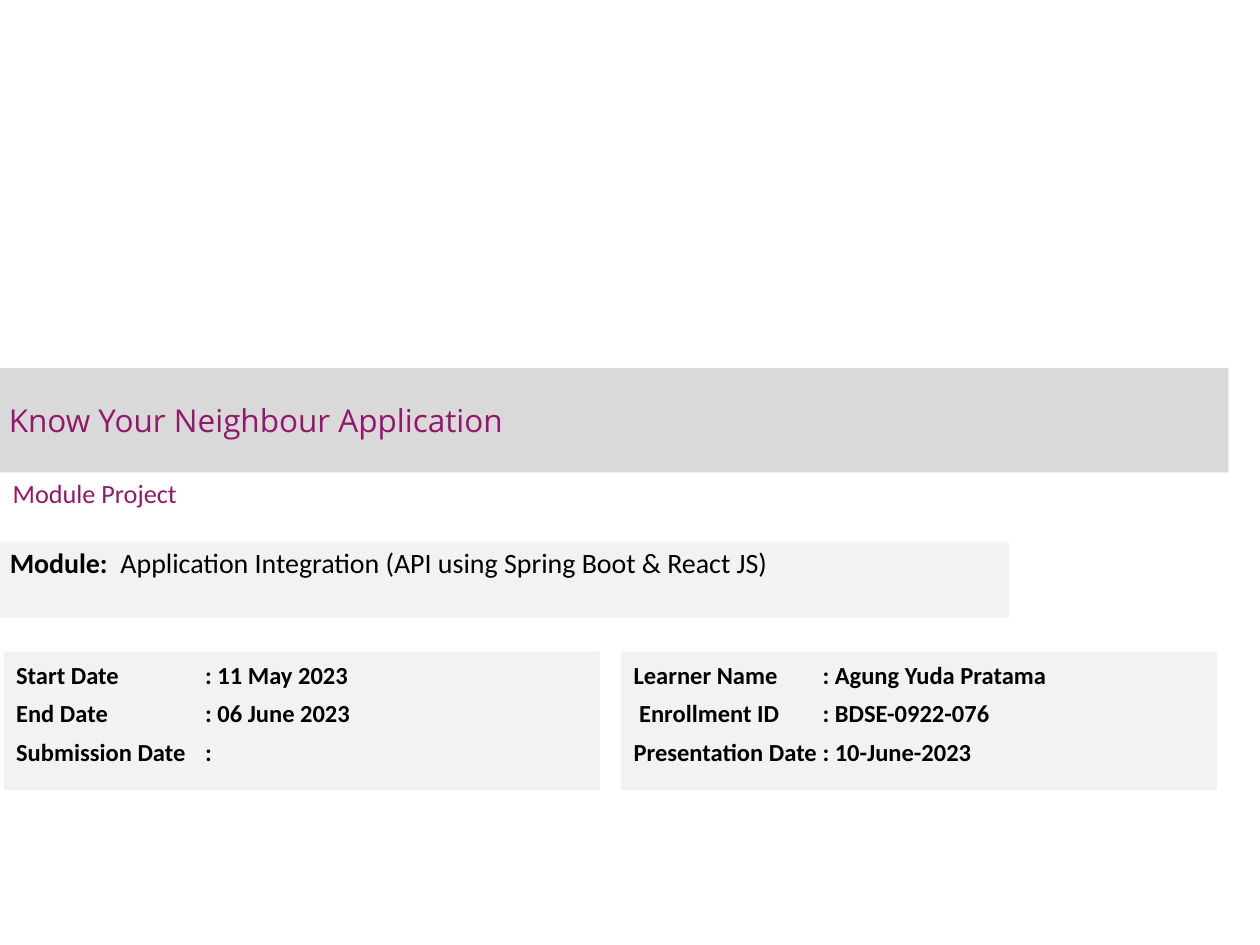
import pptx
import pptx.dml.color
import pptx.enum.shapes
import pptx.enum.text
import pptx.oxml
import pptx.oxml.ns
import pptx.util
from pptx.util import Inches

PLUM = pptx.dml.color.RGBColor(0x93, 0x17, 0x6C)
BLACK = pptx.dml.color.RGBColor(0, 0, 0)
BAND_GREY = pptx.dml.color.RGBColor(0xD9, 0xD9, 0xD9)
PANEL_GREY = pptx.dml.color.RGBColor(0xF2, 0xF2, 0xF2)
VALUE_TAB = Inches(1.5)


def add_span(para, text, size, color, font="Calibri", bold=False):
    span = para.add_run()
    span.text = text
    span.font.name = font
    span.font.size = pptx.util.Pt(size)
    span.font.bold = bold
    span.font.color.rgb = color


def fill_heading(holder, box, text, size, font):
    """Place a title or subtitle placeholder and write its one line."""
    holder.left, holder.top, holder.width, holder.height = box
    frame = holder.text_frame
    frame.word_wrap = True
    frame.auto_size = pptx.enum.text.MSO_AUTO_SIZE.NONE
    frame.vertical_anchor = pptx.enum.text.MSO_ANCHOR.MIDDLE
    para = frame.paragraphs[0]
    para.alignment = pptx.enum.text.PP_ALIGN.LEFT
    para.space_before = pptx.util.Pt(0)
    add_span(para, text, size, PLUM, font)


def add_title_band(page, box):
    title = page.shapes.title
    fill_heading(title, box, "Know Your Neighbour Application", 18, "Open Sans")
    title.fill.solid()
    title.fill.fore_color.rgb = BAND_GREY
    frame = title.text_frame
    frame.margin_left = frame.margin_right = Inches(0.07)
    frame.margin_top = frame.margin_bottom = Inches(0.04)


def add_subtitle(page, box):
    fill_heading(page.placeholders[1], box, "Module Project", 15, "Calibri")


def add_panel(page, box):
    """Add a pale grey rectangle and return its text frame."""
    panel = page.shapes.add_shape(pptx.enum.shapes.MSO_SHAPE.RECTANGLE, *box)
    panel.shadow.inherit = False
    panel.fill.solid()
    panel.fill.fore_color.rgb = PANEL_GREY
    panel.line.fill.background()
    frame = panel.text_frame
    frame.word_wrap = True
    frame.vertical_anchor = pptx.enum.text.MSO_ANCHOR.TOP
    return frame


def format_line(para):
    para.alignment = pptx.enum.text.PP_ALIGN.LEFT
    para.line_spacing = pptx.util.Pt(18)
    para.space_before = para.space_after = pptx.util.Pt(2)


def add_value_tab(para):
    """Set the tab stop at which the values line up."""
    stops = pptx.oxml.parse_xml(
        f'<a:tabLst {pptx.oxml.ns.nsdecls("a")}>'
        f'<a:tab pos="{int(VALUE_TAB)}" algn="l"/></a:tabLst>'
    )
    para._p.get_or_add_pPr().append(stops)


def add_module_panel(page, box):
    para = add_panel(page, box).paragraphs[0]
    format_line(para)
    add_span(para, "Module:  ", 16, BLACK, bold=True)
    add_span(para, "Application Integration (API using Spring Boot & React JS)", 16, BLACK)


def add_details_panel(page, box, details):
    frame = add_panel(page, box)
    for index, (label, value) in enumerate(details):
        para = frame.add_paragraph() if index else frame.paragraphs[0]
        format_line(para)
        add_value_tab(para)
        add_span(para, f"{label}\t{value}", 14, BLACK, bold=True)


def main():
    deck = pptx.Presentation()
    deck.slide_width, deck.slide_height = Inches(10), Inches(7.5)
    page = deck.slides.add_slide(deck.slide_layouts[0])

    add_title_band(page, (Inches(0), Inches(2.92), Inches(9.75), Inches(0.83)))
    add_subtitle(page, (Inches(0), Inches(3.6), Inches(6.42), Inches(0.62)))
    add_module_panel(page, (Inches(-0.02), Inches(4.3), Inches(8.03), Inches(0.6)))

    dates = [
        ("Start Date", ": 11 May 2023"),
        ("End Date", ": 06 June 2023"),
        ("Submission Date", ":"),
    ]
    learner = [
        ("Learner Name", ": Agung Yuda Pratama"),
        (" Enrollment ID", ": BDSE-0922-076"),
        ("Presentation Date", ": 10-June-2023"),
    ]
    for left, details in ((0.03, dates), (4.93, learner)):
        box = (Inches(left), Inches(5.17), Inches(4.73), Inches(1.1))
        add_details_panel(page, box, details)

    deck.save("out.pptx")


if __name__ == "__main__":
    main()
